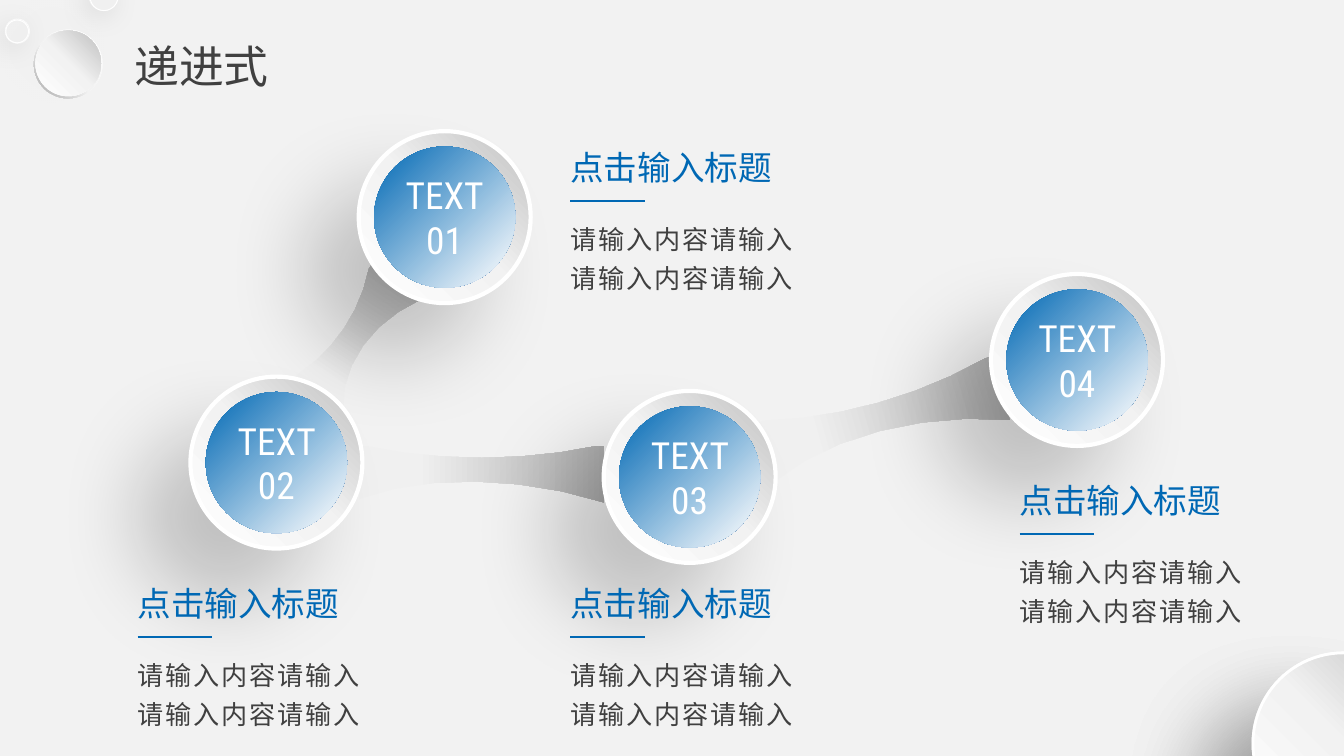
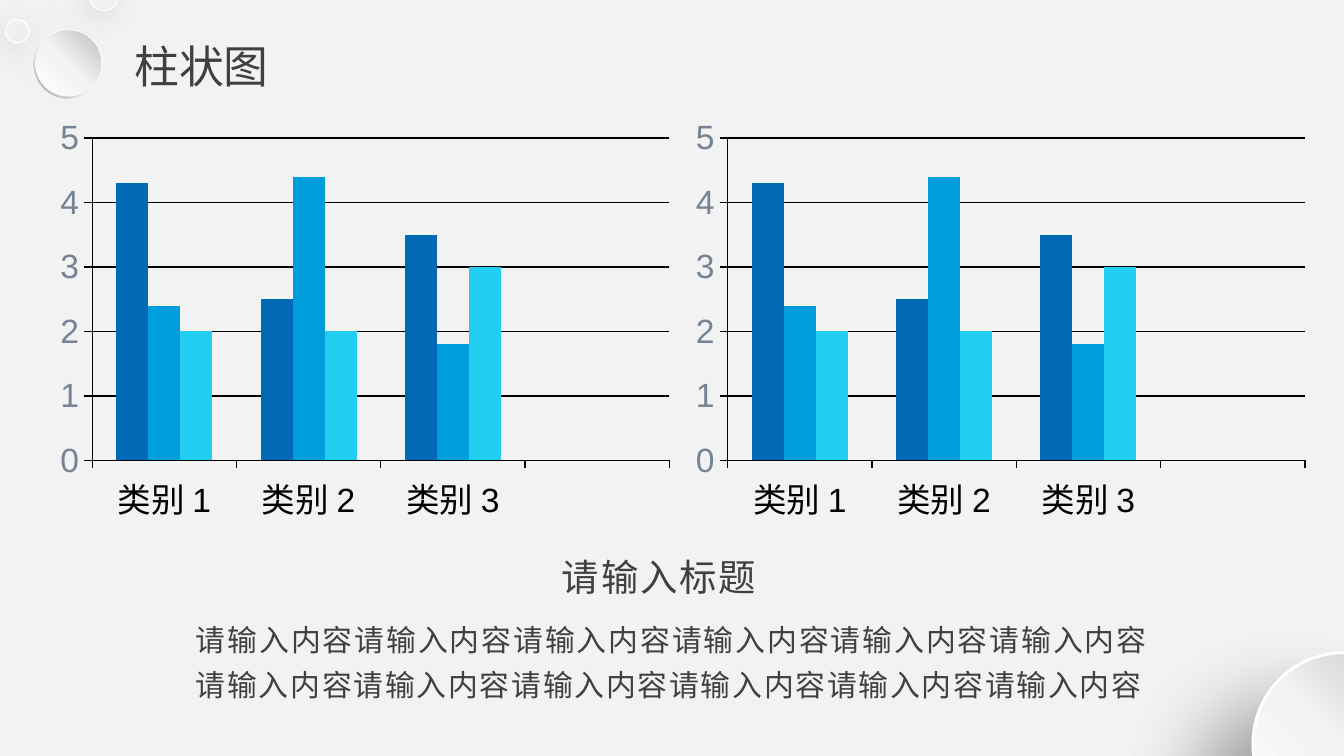
"""Build two slides: a four-step progression and a pair of column charts."""
import dataclasses

import lxml.etree
import pptx
import pptx.chart.data
import pptx.dml.color
import pptx.enum.chart
import pptx.enum.shapes
import pptx.enum.text
import pptx.oxml
import pptx.oxml.ns
import pptx.util

Cm, Pt = pptx.util.Cm, pptx.util.Pt
RGB = pptx.dml.color.RGBColor.from_string
qn = pptx.oxml.ns.qn
SHAPE = pptx.enum.shapes.MSO_SHAPE
ALIGN = pptx.enum.text.PP_ALIGN
ANCHOR = pptx.enum.text.MSO_ANCHOR
FIT = pptx.enum.text.MSO_AUTO_SIZE


@dataclasses.dataclass(frozen=True)
class Theme:
    back: str = "F2F2F2"
    pale: str = "F0F0F0"
    white: str = "FFFFFF"
    black: str = "000000"
    ink: str = "404040"
    axis: str = "768395"
    blue: str = "0068B4"
    series: tuple = ("0068B4", "009DDC", "21CDF1")
    sans: str = "Arial"
    cjk: str = "Noto Sans CJK SC"
    narrow: str = "Roboto Condensed"
    title: int = 24
    heading: int = 20
    caption: int = 18
    body: int = 16
    small: int = 14


T = Theme()
SILVER = ((0, T.white), (50, T.back), (100, "BFBFBF"))
SOFT, FAINT = (20, 45, 40), (10, 15, 4)
FROM_LEFT = '<a:path path="circle"><a:fillToRect t="100000" r="100000"/></a:path>'
FROM_RIGHT = '<a:path path="circle"><a:fillToRect l="100000" t="100000"/></a:path>'
LINEAR = '<a:lin ang="{}" scaled="0"/>'
NS = 'xmlns:a="http://schemas.openxmlformats.org/drawingml/2006/main"'


def paint(sp, fill, direction=None, line=None, shadow=None):
    """Set solid or gradient fill, white outline width and (alpha, blur, distance) shadow."""
    if direction:
        sp.fill.gradient()
        spPr = sp._element.spPr
        stops = "".join(f'<a:gs pos="{pos * 1000}"><a:srgbClr val="{color}"/></a:gs>'
                        for pos, color in fill)
        spPr.replace(spPr.find(qn("a:gradFill")), pptx.oxml.parse_xml(
            f'<a:gradFill {NS} rotWithShape="1"><a:gsLst>{stops}</a:gsLst>{direction}</a:gradFill>'))
    else:
        sp.fill.solid()
        sp.fill.fore_color.rgb = RGB(fill)
    if line:
        sp.line.color.rgb = RGB(T.white)
        sp.line.width = Pt(line)
    else:
        sp.line.fill.background()
    sp.shadow.inherit = False
    if shadow:
        alpha, blur, dist = shadow
        sp._element.spPr.find(qn("a:effectLst")).append(pptx.oxml.parse_xml(
            f'<a:outerShdw {NS} blurRad="{Pt(blur)}" dist="{Pt(dist)}" dir="8100000" '
            f'algn="tr" rotWithShape="0"><a:srgbClr val="{T.black}">'
            f'<a:alpha val="{alpha * 1000}"/></a:srgbClr></a:outerShdw>'))


def write(tf, text, size, color=T.ink, font=T.cjk, align=ALIGN.LEFT, anchor=ANCHOR.TOP,
          spacing=None, tracking=0, margins=(0, 0), fit=FIT.NONE):
    """Fill a text frame, one paragraph for each line of text."""
    tf.word_wrap = True
    tf.auto_size = fit
    tf.vertical_anchor = anchor
    tf.margin_left = tf.margin_right = Cm(margins[0])
    tf.margin_top = tf.margin_bottom = Cm(margins[1])
    for i, words in enumerate(text.split("\n")):
        p = tf.add_paragraph() if i else tf.paragraphs[0]
        p.alignment = align
        if spacing:
            p.line_spacing = spacing
        r = p.add_run()
        r.text = words
        r.font.size = Pt(size)
        r.font.color.rgb = RGB(color)
        r.font.name = font
        rPr = r._r.get_or_add_rPr()
        if tracking:
            rPr.set("spc", str(tracking * 100))
        lxml.etree.SubElement(rPr, qn("a:ea")).set("typeface", font)


prs = pptx.Presentation()
prs.slide_width, prs.slide_height = Cm(25.4), Cm(14.29)
prs.slide_master.background.fill.solid()
prs.slide_master.background.fill.fore_color.rgb = RGB(T.back)
layout = prs.slide_layouts[5]
steps, columns = slides = [prs.slides.add_slide(layout) for _ in range(2)]

ring = ((0, T.white), (55, T.back), (100, "A6A6A6"))
corner = (SHAPE.OVAL, 23.68, 12.34, 3.43, 270, (SILVER, FROM_LEFT, 1.5, SOFT))
decor = [
    (SHAPE.DONUT, 0.1, 0.36, 0.46, 0, (T.pale, None, 0.5, SOFT)),
    (SHAPE.OVAL, 0.11, 0.38, 0.43, 0, (T.pale, None, 0.5, FAINT)),
    (SHAPE.DONUT, 1.68, -0.36, 0.56, 0, (T.pale, None, 0.5, SOFT)),
    (SHAPE.OVAL, 1.7, -0.33, 0.53, 0, (T.pale, None, 0.5, FAINT)),
    (SHAPE.DONUT, 0.64, 0.56, 1.3, 0, (ring, LINEAR.format(135 * 60000))),
    (SHAPE.OVAL, 0.67, 0.58, 1.24, 0, (SILVER, LINEAR.format(315 * 60000))),
    corner,
]
placed = [(steps, part, True) for part in decor] + [(s, corner, False) for s in slides]
for i, (s, (kind, x, y, d, angle, look), shared) in enumerate(placed):
    sp = s.shapes.add_shape(kind, Cm(x), Cm(y), Cm(d), Cm(d))
    if kind == SHAPE.DONUT:
        sp.adjustments[0] = 0.049
    sp.rotation = angle
    paint(sp, *look)
    if shared:
        sp._element.nvSpPr.cNvPr.set("id", str(20 + i))
        layout.shapes._spTree.append(sp._element)

for s, title in zip(slides, ("递进式", "柱状图")):
    sp = s.shapes.title
    sp.left, sp.top, sp.width, sp.height = Cm(2.29), Cm(0.61), Cm(11.61), Cm(1.96)
    write(sp.text_frame, title, T.title, font=T.sans, margins=(0.25, 0.13))

curves = [
    ((1, 1), (0.66, 0.53), (0.27, 0.5), (0, 0.94)),
    ((0.03, 0), (0.33, 0.28), (0.67, 0.28), (0.97, 0)),
]
lower, upper = [
    [tuple((1 - t) ** 3 * a + 3 * t * (1 - t) ** 2 * b + 3 * t * t * (1 - t) * c + t ** 3 * d
           for a, b, c, d in zip(*curve)) for t in (k / 6 for k in range(7))]
    for curve in curves
]
outline = [(1, 0), *lower, (0, 0), *upper]
for x, y, w, h, angle in ((14.4, 7.34, 4.6, 1.24, 344.3), (6.78, 8.43, 4.65, 1.07, 0),
                          (5.51, 5.82, 2.54, 1.14, 303.9)):
    pts = [(Cm(x + fx * w), Cm(y + fy * h)) for fx, fy in outline]
    builder = steps.shapes.build_freeform(*pts[0])
    builder.add_line_segments(pts[1:], close=True)
    sp = builder.convert_to_shape()
    sp.rotation = angle
    paint(sp, ((24, T.pale), (100, "ACACAC")), LINEAR.format(0))

ball, core = 3.25, 2.67
inset = (ball - core) / 2
glow = ((0, T.white), (15, "DEEBF5"), (100, T.blue))
for label, x, y in (("TEXT\n01", 6.78, 2.48), ("TEXT 02", 3.6, 7.12),
                    ("TEXT 03", 11.41, 7.39), ("TEXT 04", 18.73, 5.18)):
    sp = steps.shapes.add_shape(SHAPE.OVAL, Cm(x), Cm(y), Cm(ball), Cm(ball))
    paint(sp, SILVER, FROM_LEFT, 2.25, SOFT)
    sp = steps.shapes.add_shape(SHAPE.OVAL, Cm(x + inset), Cm(y + inset), Cm(core), Cm(core))
    paint(sp, glow, FROM_RIGHT)
    write(sp.text_frame, label, T.heading, color=T.white, font=T.narrow, align=ALIGN.CENTER,
          anchor=ANCHOR.MIDDLE, margins=(0.1, 0.1))

for x, y in ((10.78, 2.78), (10.78, 11.02), (2.6, 11.02), (19.27, 9.07)):
    sp = steps.shapes.add_textbox(Cm(x), Cm(y + 1.3), Cm(4.83), Cm(1.42))
    write(sp.text_frame, "请输入内容请输入\n请输入内容请输入", T.small, spacing=1.25,
          tracking=1, fit=FIT.SHAPE_TO_FIT_TEXT)
    sp = steps.shapes.add_textbox(Cm(x), Cm(y), Cm(4.37), Cm(0.76))
    write(sp.text_frame, "点击输入标题", T.caption, color=T.blue, fit=FIT.SHAPE_TO_FIT_TEXT)
    rule = steps.shapes.add_connector(pptx.enum.shapes.MSO_CONNECTOR.STRAIGHT,
                                      Cm(x), Cm(y + 1.02), Cm(x + 1.41), Cm(y + 1.02))
    rule.line.color.rgb = RGB(T.blue)
    rule.line.width = Pt(1)
    lxml.etree.SubElement(rule._element.spPr, qn("a:effectLst"))

data = pptx.chart.data.CategoryChartData()
data.categories = ["类别 1", "类别 2", "类别 3"]
for i, values in enumerate(((4.3, 2.5, 3.5, None), (2.4, 4.4, 1.8, None), (2, 2, 3, None)), 1):
    data.add_series(f"Series {i}", values)
for x in (0.9, 12.91):
    chart = columns.shapes.add_chart(pptx.enum.chart.XL_CHART_TYPE.COLUMN_CLUSTERED,
                                     Cm(x), Cm(2.09), Cm(11.99), Cm(7.95), data).chart
    chart.has_legend = chart.has_title = False
    chart.font.name, chart.font.size = T.sans, Pt(T.caption)
    chart.font.color.rgb = RGB(T.black)
    plot = chart.plots[0]
    plot.gap_width, plot.overlap = 150, 0
    plot.vary_by_categories = False
    for series, color in zip(plot.series, T.series):
        series.format.fill.solid()
        series.format.fill.fore_color.rgb = RGB(color)
    cat, val = chart.category_axis, chart.value_axis
    val.minimum_scale, val.maximum_scale, val.major_unit = 0, 5, 1
    val.has_major_gridlines = True
    for axis, color in ((cat, T.black), (val, T.axis)):
        axis.major_tick_mark = pptx.enum.chart.XL_TICK_MARK.OUTSIDE
        axis.tick_labels.font.size = Pt(T.caption)
        axis.tick_labels.font.name = T.sans
        axis.tick_labels.font.color.rgb = RGB(color)
    for line in (cat.format.line, val.format.line, val.major_gridlines.format.line):
        line.color.rgb = RGB(T.black)
        line.width = Pt(0.75)

for text, size, x, y, w, h in (("请输入内容" * 12, T.body, 3.7, 11.46, 18.03, 1.96),
                               ("请输入标题", T.heading, 10.62, 10.13, 4.19, 1.22)):
    sp = columns.shapes.add_textbox(Cm(x), Cm(y), Cm(w), Cm(h))
    write(sp.text_frame, text, size, align=ALIGN.JUSTIFY, spacing=1.25, tracking=1,
          margins=(0, 0.13), fit=FIT.SHAPE_TO_FIT_TEXT)

prs.save("out.pptx")
